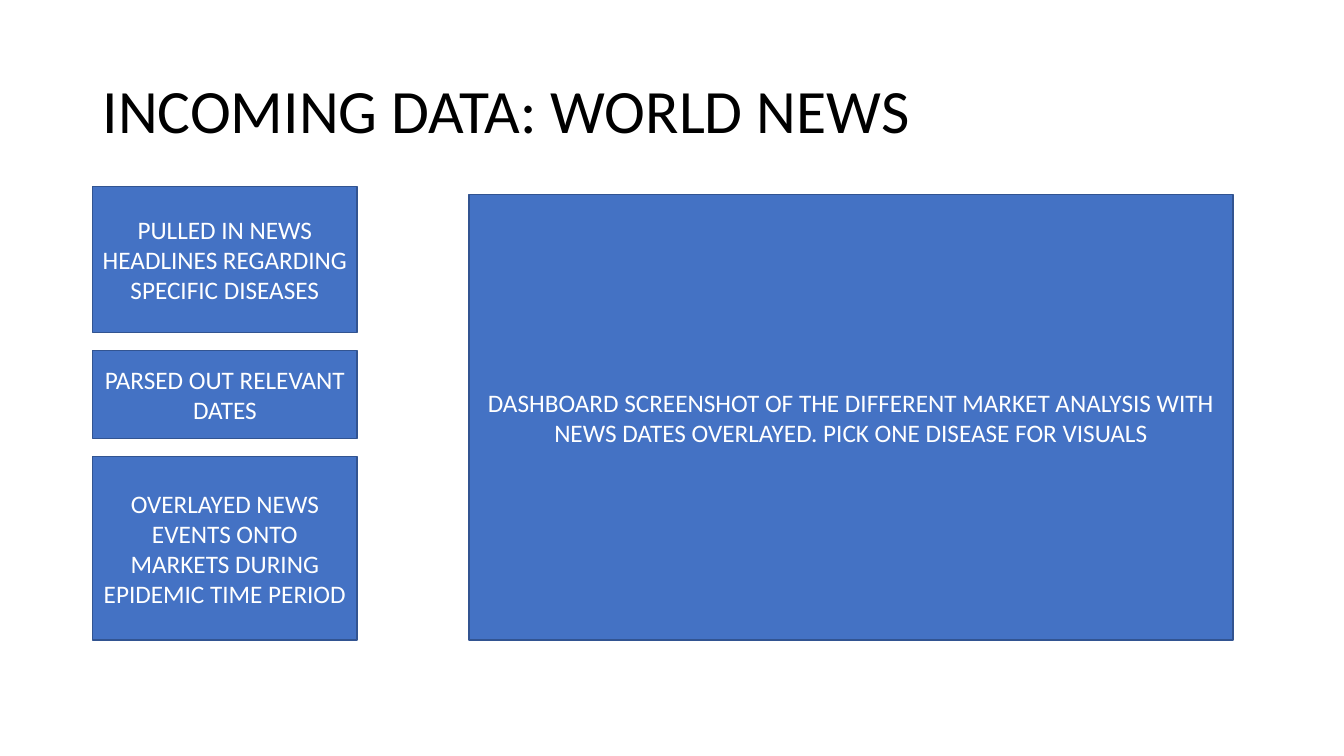
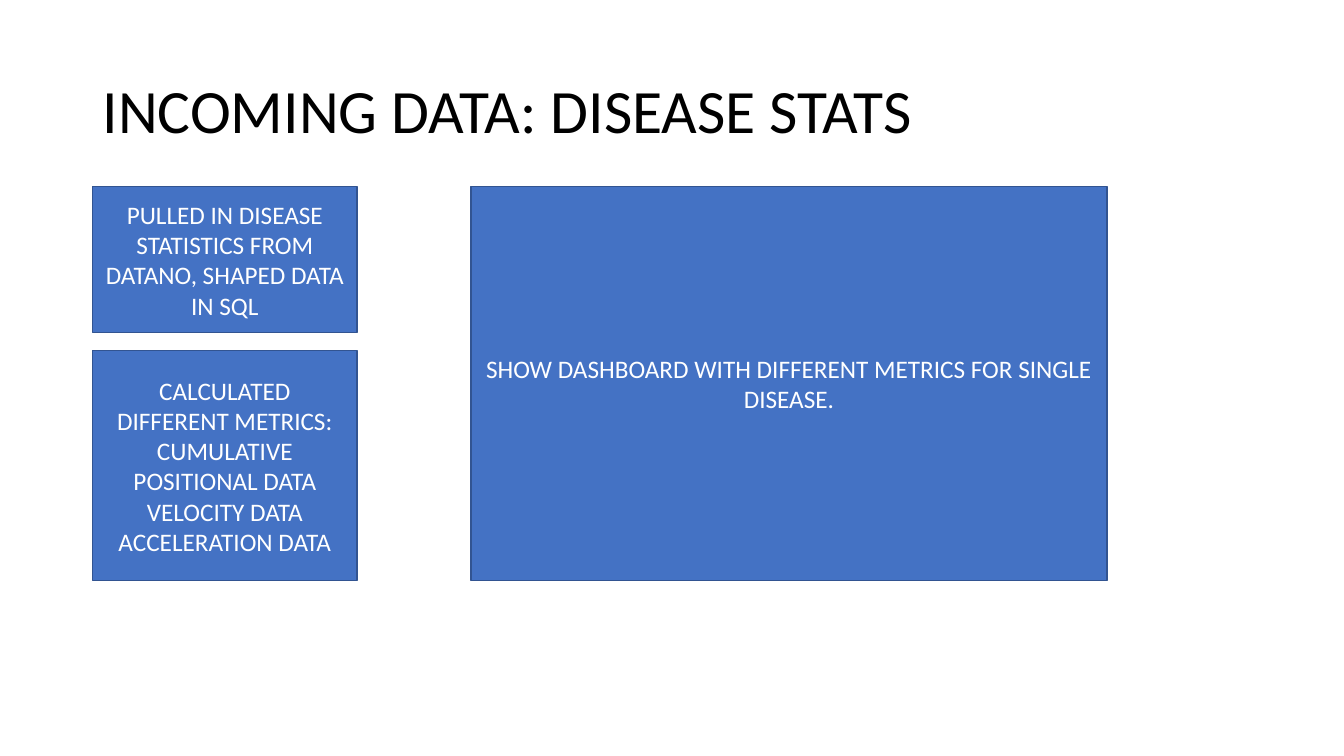
from pptx import Presentation
from pptx.dml.color import RGBColor
from pptx.enum.shapes import MSO_SHAPE as Shape
from pptx.enum.text import MSO_ANCHOR as Anchor, PP_ALIGN as Align
from pptx.util import Inches, Pt

BLACK, WHITE, BLUE, NAVY = "000000", "FFFFFF", "4472C4", "325491"
LEFT, TOP, WIDTH, GAP = 0.92, 1.85, 2.62, 0.18

FRAME = {"word_wrap": True, "vertical_anchor": Anchor.MIDDLE}
TITLE = {
    "para": {"alignment": Align.LEFT, "line_spacing": 0.9},
    "font": {"name": "Calibri", "size": Pt(44)},
    "color": BLACK,
}
BODY = {
    "para": {"alignment": Align.CENTER},
    "font": {"name": "Calibri", "size": Pt(18)},
    "color": WHITE,
}

# Each step is (height, paragraphs); each panel is (place, paragraphs).
SLIDES = [
    {
        "title": "INCOMING DATA: WORLD NEWS",
        "steps": [
            (1.45, ["PULLED IN NEWS HEADLINES REGARDING SPECIFIC DISEASES"]),
            (0.87, ["PARSED OUT RELEVANT DATES"]),
            (1.82, ["OVERLAYED NEWS EVENTS ONTO MARKETS DURING "
                    "EPIDEMIC TIME PERIOD"]),
        ],
        "panel": ((4.65, 1.93, 7.58, 4.42),
                  ["DASHBOARD SCREENSHOT OF THE DIFFERENT MARKET ANALYSIS "
                   "WITH NEWS DATES OVERLAYED. PICK ONE DISEASE FOR VISUALS"]),
    },
    {
        "title": "INCOMING DATA: DISEASE STATS",
        "steps": [
            (1.45, ["PULLED IN DISEASE STATISTICS FROM DATANO, "
                    "SHAPED DATA IN SQL"]),
            (2.28, ["CALCULATED DIFFERENT METRICS:", "CUMULATIVE",
                    "POSITIONAL DATA", "VELOCITY DATA",
                    "ACCELERATION DATA"]),
        ],
        "panel": ((4.67, TOP, 6.31, 3.91),
                  ["SHOW DASHBOARD WITH DIFFERENT METRICS FOR SINGLE "
                   "DISEASE."]),
    },
]


def color(code):
    """Turn a hex string into a colour."""
    return RGBColor.from_string(code)


def apply(item, values):
    """Set each attribute in values on item."""
    for name, value in values.items():
        setattr(item, name, value)


def write(frame, lines, style):
    """Fill a text frame with one styled paragraph per line."""
    apply(frame, FRAME)
    for i, line in enumerate(lines):
        para = frame.add_paragraph() if i else frame.paragraphs[0]
        apply(para, style["para"])
        run = para.add_run()
        run.text = line
        apply(run.font, style["font"])
        run.font.color.rgb = color(style["color"])


def add_title(slide, text):
    """Add the slide title."""
    box = slide.shapes.add_textbox(*map(Inches, (LEFT, 0.4, 11.5, 1.45)))
    write(box.text_frame, [text], TITLE)


def add_box(slide, place, lines):
    """Add a blue box with centred text."""
    box = slide.shapes.add_shape(Shape.RECTANGLE, *map(Inches, place))
    box.shadow.inherit = False
    box.fill.solid()
    box.fill.fore_color.rgb = color(BLUE)
    box.line.color.rgb = color(NAVY)
    box.line.width = Pt(1)
    write(box.text_frame, lines, BODY)


def add_steps(slide, steps):
    """Stack the step boxes down the left side with equal gaps."""
    top = TOP
    for height, lines in steps:
        add_box(slide, (LEFT, top, WIDTH, height), lines)
        top += height + GAP


def main():
    """Build the slides and save them."""
    deck = Presentation()
    apply(deck, {"slide_width": Inches(13.33), "slide_height": Inches(7.5)})
    for page in SLIDES:
        slide = deck.slides.add_slide(deck.slide_layouts[6])
        add_title(slide, page["title"])
        add_steps(slide, page["steps"])
        add_box(slide, *page["panel"])
    deck.save("out.pptx")


main()
